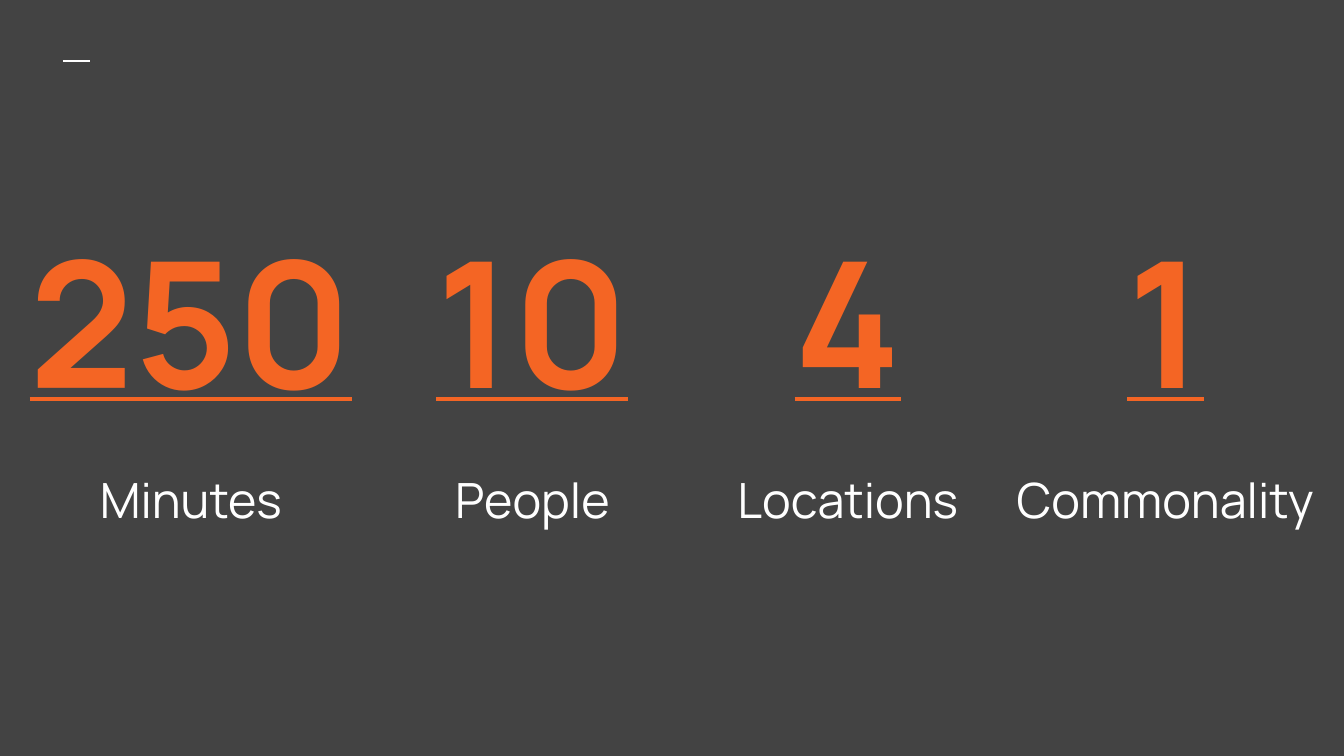
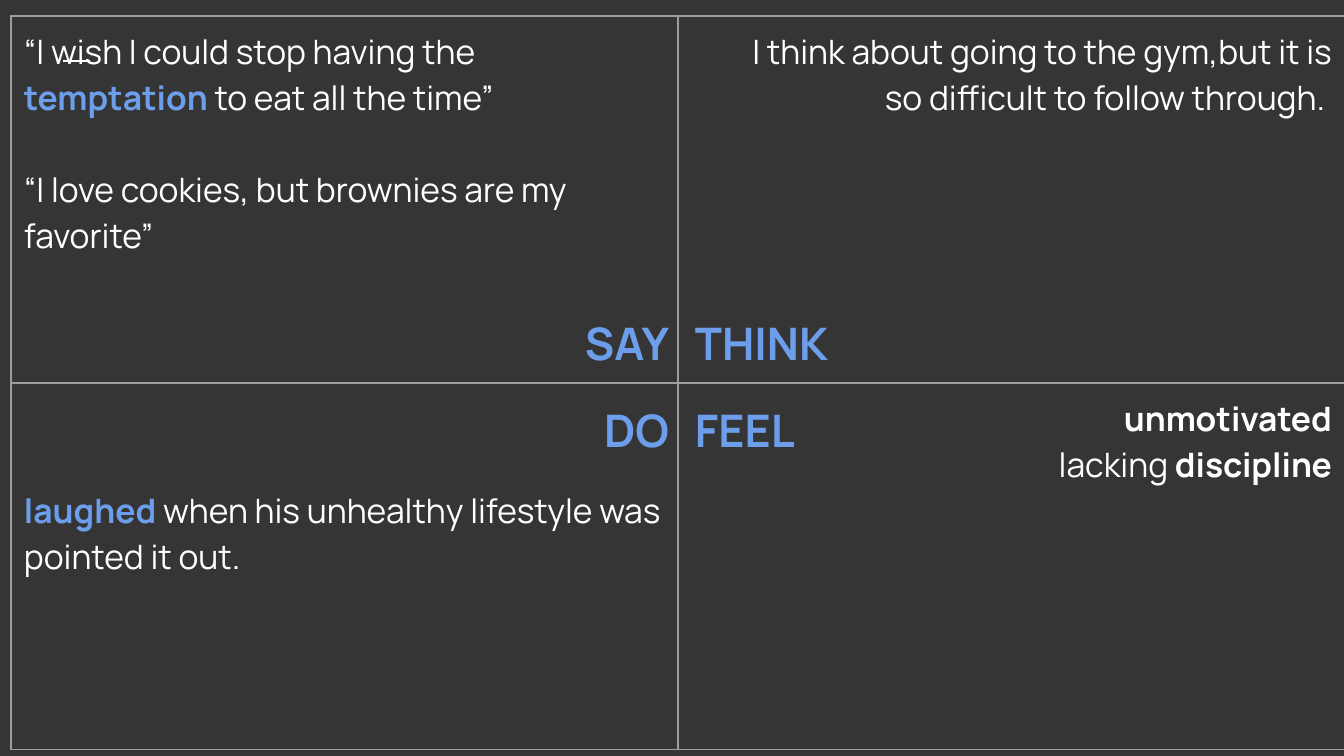
from lxml.etree import SubElement
from pptx import Presentation
from pptx.dml.color import RGBColor
from pptx.enum.shapes import MSO_CONNECTOR
from pptx.enum.text import PP_ALIGN as Align
from pptx.oxml.ns import qn
from pptx.util import Pt

EMU_PER_PX = 914400 / 134.4
FONT = "Manrope"
NO_STYLE = "{2D5ABB26-0587-4C30-8999-92F81FD0307C}"
INSET = 13
LINE = 46  # height of one line of body text
COLORS = {
    "stats": "434343",
    "map": "353535",
    "text": "FFFFFF",
    "figure": "F46524",
    "accent": "6D9EEB",
    "grid": "9E9E9E",
}
# Run styles: colour and weight
PLAIN = ("text", False)
STRONG = ("text", True)
ACCENT = ("accent", True)


def px(length):
    return round(length * EMU_PER_PX)


def rgb(name):
    return RGBColor.from_string(COLORS[name])


def add_slide(prs, background):
    """Blank slide with its background and the short dash at top left."""
    slide = prs.slides.add_slide(prs.slide_layouts[6])
    slide.background.fill.solid()
    slide.background.fill.fore_color.rgb = rgb(background)
    dash = slide.shapes.add_connector(
        MSO_CONNECTOR.STRAIGHT, px(63), px(61), px(90), px(61))
    dash.line.color.rgb = rgb("text")
    dash.line.width = Pt(1.5)
    SubElement(dash.element.spPr, qn("a:effectLst"))
    return slide


def set_borders(cell, color):
    """Draw all four borders in a colour, or none."""
    props = cell._tc.get_or_add_tcPr()
    for side in ("a:lnL", "a:lnR", "a:lnT", "a:lnB"):
        border = SubElement(props, qn(side), w=str(Pt(0.75)))
        if color:
            fill = SubElement(border, qn("a:solidFill"))
            SubElement(fill, qn("a:srgbClr"), val=COLORS[color])
        else:
            SubElement(border, qn("a:noFill"))


def add_grid(slide, left, top, widths, heights, border=None):
    """Table without fills; borders only where a colour is given."""
    frame = slide.shapes.add_table(
        len(heights), len(widths), px(left), px(top),
        px(sum(widths)), px(sum(heights)))
    grid = frame.table
    grid.first_row = grid.horz_banding = False
    grid._tbl.tblPr.find(qn("a:tableStyleId")).text = NO_STYLE
    for column, width in zip(grid.columns, widths):
        column.width = px(width)
    for row, height in zip(grid.rows, heights):
        row.height = px(height)
    for cell in grid.iter_cells():
        cell.margin_left = cell.margin_right = px(INSET)
        cell.margin_top = cell.margin_bottom = px(INSET)
        set_borders(cell, border)
        cell.fill.background()
    return grid


def format_paragraph(paragraph, size, style, align, underline=None):
    color, bold = style
    paragraph.alignment = align
    font = paragraph.font
    font.name, font.size = FONT, Pt(size)
    font.bold, font.underline = bold, underline
    font.color.rgb = rgb(color)


def write_label(cell, text, size, style, align, underline=None):
    paragraph = cell.text_frame.paragraphs[0]
    paragraph.add_run().text = text
    format_paragraph(paragraph, size, style, align, underline)


def write_notes(cell, notes, align, gap=0):
    """Body paragraphs, each a list of (text, style) runs."""
    frame = cell.text_frame
    for index, runs in enumerate(notes):
        paragraph = frame.add_paragraph() if index else frame.paragraphs[0]
        format_paragraph(paragraph, 18, runs[0][1], align)
        if index and gap:
            paragraph.space_before = px(gap)
        for text, style in runs:
            run = paragraph.add_run()
            run.text = text
            if style != runs[0][1]:
                run.font.color.rgb = rgb(style[0])
                run.font.bold = style[1]


def build_stats(prs):
    slide = add_slide(prs, "stats")
    stats = [("250", "Minutes"), ("10", "People"),
             ("4", "Locations"), ("1", "Commonality")]
    grid = add_grid(slide, 12, 188, [358, 325, 306, 329], [212, 190])
    for col, (figure, unit) in enumerate(stats):
        write_label(grid.cell(0, col), figure, 94, ("figure", True),
                    Align.CENTER, underline=True)
        write_label(grid.cell(1, col), unit, 26, PLAIN, Align.CENTER)


def build_empathy_map(prs):
    slide = add_slide(prs, "map")

    # Four quadrants of notes
    quadrants = add_grid(slide, 11, 16, [667] * 2, [367] * 2, border="grid")
    say, think, do, feel = quadrants.iter_cells()
    write_notes(say, [
        [("“I wish I could stop having the ", PLAIN), ("temptation", ACCENT),
         (" to eat all the time”", PLAIN)],
        [("“I love cookies, but brownies are my favorite”", PLAIN)],
    ], Align.LEFT, gap=LINE)
    write_notes(think, [
        [("I think about going to the gym,but it is", PLAIN)],
        [("so difficult to follow through. ", PLAIN)],
    ], Align.RIGHT)
    do.margin_top = px(INSET + 2 * LINE)
    write_notes(do, [
        [("laughed", ACCENT),
         (" when his unhealthy lifestyle was pointed it out.", PLAIN)],
    ], Align.LEFT)
    write_notes(feel, [
        [("unmotivated", STRONG)],
        [("lacking ", PLAIN), ("discipline", STRONG)],
    ], Align.RIGHT)

    # Quadrant names around the centre
    names = add_grid(slide, 499, 300, [183, 187], [56] * 2)
    for row, pair in enumerate([("SAY", "THINK"), ("DO", "FEEL")]):
        for col, align in enumerate([Align.RIGHT, Align.LEFT]):
            write_label(names.cell(row, col), pair[col], 24, ACCENT, align)


def main():
    prs = Presentation()
    prs.slide_width, prs.slide_height = px(1344), px(756)
    build_stats(prs)
    build_empathy_map(prs)
    prs.save("out.pptx")


if __name__ == "__main__":
    main()
